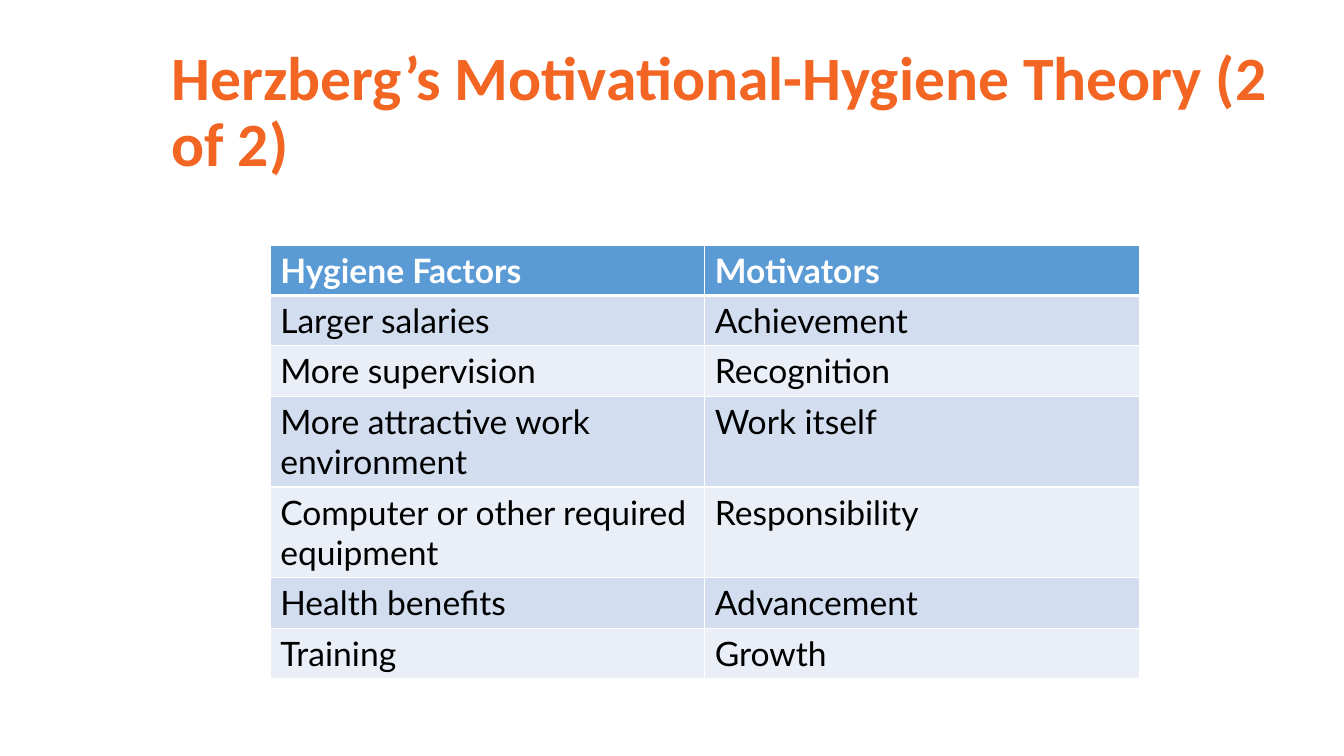
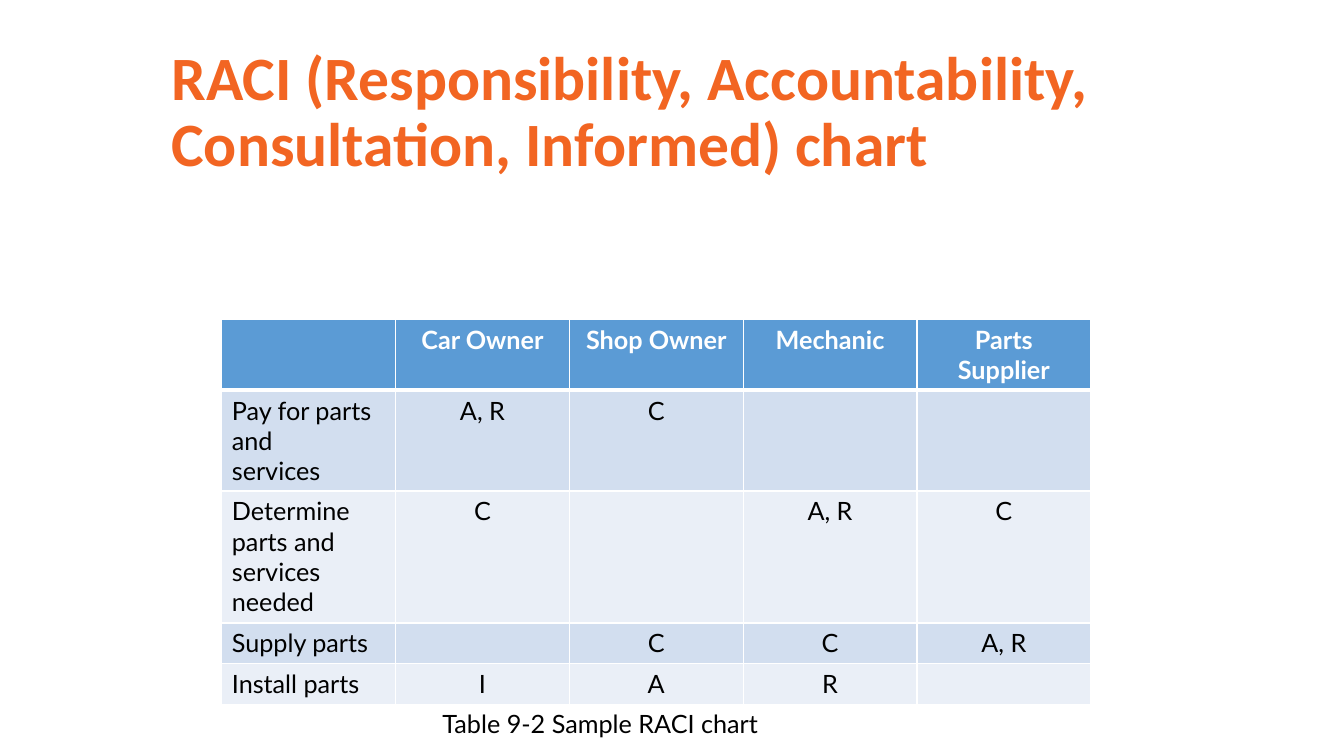
from lxml import etree
from pptx import Presentation
from pptx.dml.color import RGBColor
from pptx.enum.text import MSO_ANCHOR, MSO_AUTO_SIZE, PP_ALIGN
from pptx.oxml.ns import qn
from pptx.util import Emu, Pt

LEFT, MID = PP_ALIGN.LEFT, PP_ALIGN.CENTER
CENTER = MSO_ANCHOR.MIDDLE
FIXED = MSO_AUTO_SIZE.NONE
UNIT = 9144
TITLE_FONT, BODY_FONT = "Calibri", "Lato"
COLORS = {
    "title": "F26522",
    "head": "5B9BD5",
    "odd": "D2DEEF",
    "even": "EAEFF7",
    "white": "FFFFFF",
    "black": "000000",
}

FACTORS = [
    ("Hygiene Factors", "Motivators"),
    ("Larger salaries", "Achievement"),
    ("More supervision", "Recognition"),
    ("More attractive work environment", "Work itself"),
    ("Computer or other required equipment", "Responsibility"),
    ("Health benefits", "Advancement"),
    ("Training", "Growth"),
]
ROLES = [
    ("", "Car Owner", "Shop Owner", "Mechanic", "Parts Supplier"),
    ("Pay for parts and\nservices", "A, R", "C", "", ""),
    ("Determine parts and services needed", "C", "", "A, R", "C"),
    ("Supply parts", "", "C", "C", "A, R"),
    ("Install parts", "I", "A", "R", ""),
]


def px(n):
    """Turn px into EMU."""
    return Emu(n * UNIT)


def rgb(name):
    """Look up a named colour."""
    return RGBColor.from_string(COLORS[name])


def write(frame, text, size, color, font=BODY_FONT, bold=False, align=LEFT):
    """Fill a text frame with one run for each line of text."""
    for i, line in enumerate(text.split("\n")):
        para = frame.add_paragraph() if i else frame.paragraphs[0]
        para.alignment = align
        if not line:
            para.font.size = Pt(size)
            continue
        run = para.add_run()
        run.text = line
        run.font.name = font
        run.font.size = Pt(size)
        run.font.bold = bold
        run.font.color.rgb = rgb(color)


def add_slide(deck, text):
    """Add a slide with the shared title style."""
    slide = deck.slides.add_slide(deck.slide_layouts[5])
    title = slide.shapes.title
    title.left, title.top, title.width, title.height = map(px, (160, 40, 1150, 145))
    frame = title.text_frame
    frame.word_wrap = True
    frame.auto_size = FIXED
    frame.vertical_anchor = CENTER
    write(frame, text, 44, "title", TITLE_FONT, True)
    frame.paragraphs[0].line_spacing = 0.9
    return slide


def edge(cell, row):
    """Draw white cell borders, thicker below the header."""
    props = cell._tc.get_or_add_tcPr()
    for side in "LRTB":
        thick = (row, side) in ((0, "B"), (1, "T"))
        line = etree.SubElement(props, qn("a:ln" + side), w=str(Pt(3 if thick else 1)))
        fill = etree.SubElement(line, qn("a:solidFill"))
        etree.SubElement(fill, qn("a:srgbClr"), val=COLORS["white"])


def add_grid(slide, data, left, top, width, heights, size, align):
    """Add a banded table with equal columns."""
    count = len(data[0])
    box = map(px, (left, top, width, sum(heights)))
    table = slide.shapes.add_table(len(data), count, *box).table
    table.horz_banding = False
    for r, (texts, height) in enumerate(zip(data, heights)):
        table.rows[r].height = px(height)
        band = ("odd" if r % 2 else "even") if r else "head"
        ink = "black" if r else "white"
        for c, text in enumerate(texts):
            cell = table.cell(r, c)
            edge(cell, r)
            cell.fill.solid()
            cell.fill.fore_color.rgb = rgb(band)
            write(cell.text_frame, text, size, ink, bold=not r, align=align if c else LEFT)


def add_note(slide, text, left, top, width, height):
    """Add a caption below a table."""
    box = slide.shapes.add_textbox(*map(px, (left, top, width, height)))
    box.text_frame.word_wrap = True
    write(box.text_frame, text, 18, "black")


def main():
    """Build and save the deck."""
    deck = Presentation()
    deck.slide_width, deck.slide_height = px(1333), px(750)

    slide = add_slide(deck, "Herzberg’s Motivational-Hygiene Theory (2 of 2)")
    add_grid(slide, FACTORS, 268, 243, 862, (50, 50, 50, 90, 90, 50, 50), 24, LEFT)

    slide = add_slide(
        deck, "RACI (Responsibility, Accountability, Consultation, Informed) chart"
    )
    add_grid(slide, ROLES, 220, 317, 862, (69, 100, 131, 40, 40), 18, MID)
    add_note(slide, "Table 9-2 Sample RACI chart", 429, 698, 420, 47)

    deck.save("out.pptx")


if __name__ == "__main__":
    main()
